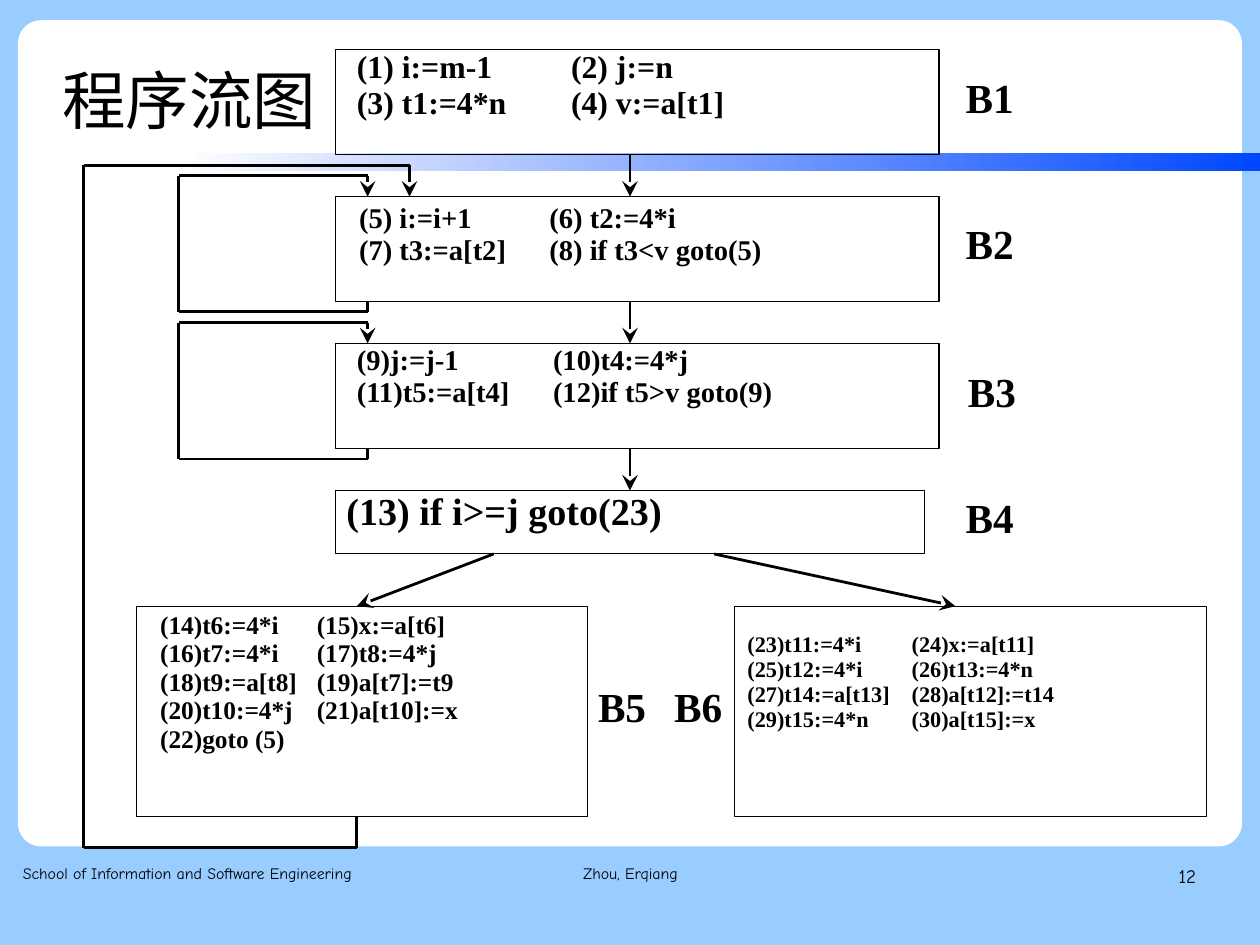
from itertools import pairwise

from lxml.etree import SubElement
from pptx import Presentation
from pptx.dml.color import RGBColor
from pptx.enum.shapes import MSO_CONNECTOR, MSO_SHAPE
from pptx.enum.text import MSO_ANCHOR, MSO_AUTO_SIZE, PP_ALIGN
from pptx.oxml.ns import qn
from pptx.util import Cm, Pt

BLACK = "000000"
CODE_FONT = "Times New Roman"
FOOTER_FONT = "Comic Neue"
TITLE_FONT = "Noto Sans CJK SC"
CODE_FRAME = {
    "margin_left": Cm(0.28), "margin_right": Cm(0.28),
    "margin_top": Cm(0.14), "margin_bottom": Cm(0.14),
    "vertical_anchor": MSO_ANCHOR.TOP, "word_wrap": True,
}
LABEL_FRAME = CODE_FRAME | {"word_wrap": False}
PLAIN_FRAME = {
    "margin_left": 0, "margin_right": 0, "margin_top": 0, "margin_bottom": 0,
    "vertical_anchor": MSO_ANCHOR.TOP, "word_wrap": True,
}
TITLE_FRAME = PLAIN_FRAME | {
    "vertical_anchor": MSO_ANCHOR.MIDDLE, "auto_size": MSO_AUTO_SIZE.NONE,
}

BLOCKS = [
    ((7.46, 1.1, 13.41, 2.33), (7.65, 0.98, 11.56, 1.85), 20, 4.76,
     ["(1) i:=m-1\t(2) j:=n", "(3) t1:=4*n\t(4) v:=a[t1]"]),
    ((7.46, 4.37, 13.41, 2.33), (7.7, 4.37, 17.25, 1.7), 18, 4.23,
     ["(5) i:=i+1\t(6) t2:=4*i", "(7) t3:=a[t2]\t(8) if t3<v goto(5)"]),
    ((7.46, 7.63, 13.41, 2.33), (7.65, 7.53, 13.31, 1.7), 18, 4.36,
     ["(9)j:=j-1\t(10)t4:=4*j", "(11)t5:=a[t4]\t(12)if t5>v goto(9)"]),
    ((7.46, 10.9, 13.08, 1.4), (7.42, 10.78, 7.65, 1.24), 24, None,
     ["(13) if i>=j goto(23)"]),
    ((3.03, 13.47, 10.03, 4.67), (3.28, 13.46, 9.53, 4.72), 16, 3.48,
     ["(14)t6:=4*i\t(15)x:=a[t6]", "(16)t7:=4*i\t(17)t8:=4*j",
      "(18)t9:=a[t8]\t(19)a[t7]:=t9", "(20)t10:=4*j\t(21)a[t10]:=x",
      "(22)goto (5)"]),
    ((16.33, 13.47, 10.49, 4.67), (16.33, 13.93, 10.26, 2.49), 14, 3.65,
     ["(23)t11:=4*i\t(24)x:=a[t11]", "(25)t12:=4*i\t(26)t13:=4*n",
      "(27)t14:=a[t13]\t(28)a[t12]:=t14", "(29)t15:=4*n\t(30)a[t15]:=x"]),
]
LABELS = [
    ("B1", 21.18, 1.56), ("B2", 21.18, 4.82), ("B3", 21.23, 8.09),
    ("B4", 21.18, 10.89), ("B5", 13.01, 15.1), ("B6", 14.7, 15.1),
]
ROUTES = [
    [(14, 3.43), (14, 4.37)],
    [(14, 6.7), (14, 7.63)],
    [(14, 9.97), (14, 10.9)],
    [(10.97, 12.31), (7.93, 13.47)],
    [(15.87, 12.31), (21.23, 13.47)],
    [(8.17, 6.7), (8.17, 6.93), (3.97, 6.93), (3.97, 3.9), (8.17, 3.9), (8.17, 4.37)],
    [(8.17, 9.97), (8.17, 10.2), (3.97, 10.2), (3.97, 7.17), (8.17, 7.17), (8.17, 7.63)],
    [(7.93, 18.14), (7.93, 18.84), (1.86, 18.84), (1.86, 3.67), (9.1, 3.67), (9.1, 4.37)],
]
FOOTERS = [
    ("School of Information and Software Engineering", (0.51, 19.12, 8.5, 1.45), 10, PP_ALIGN.LEFT),
    ("Zhou, Erqiang", (9.58, 19.12, 8.86, 1.45), 10, PP_ALIGN.CENTER),
    ("12", (20.05, 19.12, 6.53, 1.45), 12, PP_ALIGN.RIGHT),
]


def colour(value):
    return RGBColor.from_string(value)


def apply(target, values):
    for name, value in values.items():
        setattr(target, name, value)


def place(box):
    return [Cm(length) for length in box]


def write(frame, lines, font, size, bold=False, spacing=0.93, align=PP_ALIGN.LEFT, tab=None):
    for index, line in enumerate(lines):
        paragraph = frame.add_paragraph() if index else frame.paragraphs[0]
        apply(paragraph, {"alignment": align, "line_spacing": spacing})
        if tab:
            tabs = SubElement(paragraph._p.get_or_add_pPr(), qn("a:tabLst"))
            SubElement(tabs, qn("a:tab"), pos=str(Cm(tab)), algn="l")
        run = paragraph.add_run()
        run.text = line
        apply(run.font, {"name": font, "size": Pt(size), "bold": bold})
        run.font.color.rgb = colour(BLACK)


def add_text(slide, box, frame_format, lines, font, size, **options):
    frame = slide.shapes.add_textbox(*place(box)).text_frame
    apply(frame, frame_format)
    write(frame, lines, font, size, **options)


def add_box(slide, kind, box):
    shape = slide.shapes.add_shape(kind, *place(box))
    shape.shadow.inherit = False
    shape.line.fill.background()
    return shape


def add_background(slide):
    background = slide.background.fill
    background.solid()
    background.fore_color.rgb = colour("99CCFF")
    panel = add_box(slide, MSO_SHAPE.ROUNDED_RECTANGLE, (0.4, 0.45, 27.2, 18.36))
    panel.adjustments[0] = 0.028
    panel.fill.solid()
    panel.fill.fore_color.rgb = colour("FFFFFF")
    band = add_box(slide, MSO_SHAPE.RECTANGLE, (4, 3.4, 24, 0.4))
    band.fill.gradient()
    band.fill.gradient_angle = 0
    for stop, position, value in zip(band.fill.gradient_stops, (0, 1), ("FFFFFF", "0047FF")):
        stop.position = position
        stop.color.rgb = colour(value)
    for shape in (panel, band):
        slide.shapes.title.element.addprevious(shape.element)


def add_title(slide, text):
    title = slide.shapes.title
    apply(title, dict(zip(("left", "top", "width", "height"), place((1.39, 0.84, 21.79, 2.57)))))
    apply(title.text_frame, TITLE_FRAME)
    write(title.text_frame, [text], TITLE_FONT, 40, spacing=1.1)
    properties = title.text_frame.paragraphs[0].runs[0].font._element
    SubElement(properties, qn("a:ea"), typeface=TITLE_FONT)


def add_block(slide, outline, text_box, size, tab, lines):
    shape = add_box(slide, MSO_SHAPE.RECTANGLE, outline)
    shape.fill.background()
    shape.line.color.rgb = colour(BLACK)
    shape.line.width = Pt(0.75)
    add_text(slide, text_box, CODE_FRAME, lines, CODE_FONT, size, bold=True, tab=tab)


def add_route(slide, points):
    for start, end in pairwise(points):
        connector = slide.shapes.add_connector(MSO_CONNECTOR.STRAIGHT, *place(start + end))
        connector.line.color.rgb = colour(BLACK)
        connector.line.width = Pt(1.75)
        properties = connector.element.spPr
        SubElement(properties, qn("a:effectLst"))
    SubElement(properties.find(qn("a:ln")), qn("a:tailEnd"), type="stealth", w="lg", len="lg")


def main():
    presentation = Presentation()
    apply(presentation, {"slide_width": Cm(28), "slide_height": Cm(21)})
    slide = presentation.slides.add_slide(presentation.slide_layouts[5])
    add_background(slide)
    add_title(slide, "程序流图")
    for text, box, size, align in FOOTERS:
        add_text(slide, box, PLAIN_FRAME, [text], FOOTER_FONT, size, spacing=1.16, align=align)
    for block in BLOCKS:
        add_block(slide, *block)
    for points in ROUTES:
        add_route(slide, points)
    for text, left, top in LABELS:
        add_text(slide, (left, top, 1.65, 1.32), LABEL_FRAME, [text], CODE_FONT, 26, bold=True)
    presentation.save("out.pptx")


if __name__ == "__main__":
    main()
